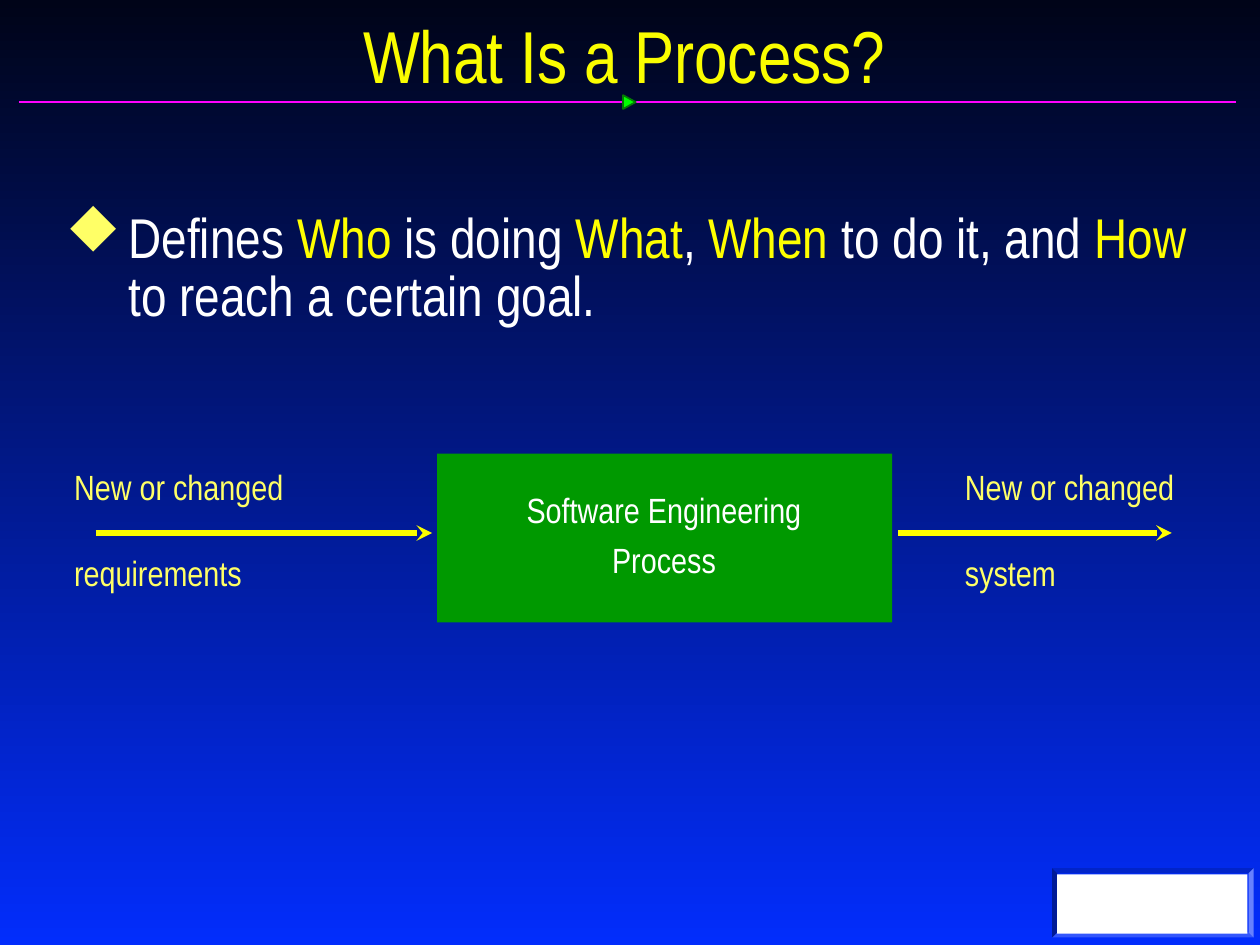
from lxml.etree import SubElement
from pptx import Presentation
from pptx.dml.color import RGBColor
from pptx.enum.shapes import MSO_CONNECTOR as Connector, MSO_SHAPE as Shape
from pptx.enum.text import MSO_ANCHOR as Anchor, PP_ALIGN as Align
from pptx.oxml.ns import qn
from pptx.util import Inches, Pt

WIDTH, HEIGHT = Inches(10), Inches(7.5)
COLUMNS, ROWS = 100, 75  # grid cells are square
FONT = "Arial Narrow"
BULLET_FONT, DIAMOND = "Wingdings", "u"  # the symbol font draws u as a diamond

NIGHT = RGBColor(0x00, 0x04, 0x18)
BLUE = RGBColor(0x02, 0x2D, 0xFC)
MAGENTA = RGBColor(0xFF, 0x01, 0xFF)
LIME = RGBColor(0x00, 0xFF, 0x00)
DARK_GREEN = RGBColor(0x03, 0x7C, 0x03)
GREEN = RGBColor(0x00, 0x99, 0x00)
WHITE = RGBColor(0xFF, 0xFF, 0xFF)
GOLD = RGBColor(0xFA, 0xFD, 0x00)
YELLOW = RGBColor(0xFF, 0xFF, 0x00)
PALE_YELLOW = RGBColor(0xFF, 0xFF, 0x66)


def place(*cells):
    """Turn alternating column and row counts into slide lengths."""
    units = (WIDTH / COLUMNS, HEIGHT / ROWS)
    return [round(cell * units[i % 2]) for i, cell in enumerate(cells)]


def add_background(page):
    fill = page.background.fill
    fill.gradient()
    fill.gradient_angle = 270
    for stop, color, position in zip(fill.gradient_stops, (NIGHT, BLUE), (0, 1)):
        stop.color.rgb = color
        stop.position = position


def add_block(page, kind, at, fill, line=None, rotation=0, adjust=None):
    block = page.shapes.add_shape(kind, *place(*at))
    block.shadow.inherit = False
    block.rotation = rotation
    if adjust is not None:
        block.adjustments[0] = adjust
    block.fill.solid()
    block.fill.fore_color.rgb = fill
    if line is None:
        block.line.fill.background()
    else:
        block.line.color.rgb = line
        block.line.width = Pt(1)


def add_line(page, start, end, row, color, width, head=None):
    line = page.shapes.add_connector(
        Connector.STRAIGHT, *place(start, row, end, row))
    line.line.color.rgb = color
    line.line.width = Pt(width)
    if head:
        SubElement(line.line._get_or_add_ln(), qn("a:tailEnd"), type=head)
    SubElement(line._element.spPr, qn("a:effectLst"))


def add_bullet(para, symbol, color, indent):
    props = para._p.get_or_add_pPr()
    props.set("marL", str(indent))
    props.set("indent", str(-indent))
    holder = SubElement(props, qn("a:buClr"))
    SubElement(holder, qn("a:srgbClr"), val=str(color))
    SubElement(props, qn("a:buFont"), typeface=BULLET_FONT,
               pitchFamily="2", charset="2")
    SubElement(props, qn("a:buChar"), char=symbol)


def add_text(page, at, paragraphs, *, size, color, align=Align.LEFT,
             anchor=Anchor.TOP, leading=None, gap=0, inset=0.1, wrap=False,
             bullet=None):
    """Each paragraph is a string or a list of (text, color) spans."""
    box = page.shapes.add_textbox(*place(*at))
    frame = box.text_frame
    frame.word_wrap = wrap
    frame.vertical_anchor = anchor
    frame.margin_left = frame.margin_right = Inches(inset)
    frame.margin_top = frame.margin_bottom = Inches(inset / 2)
    for i, content in enumerate(paragraphs):
        para = frame.add_paragraph() if i else frame.paragraphs[0]
        para.alignment = align
        if leading:
            para.line_spacing = leading
        if i:
            para.space_before = Pt(gap)
        if bullet:
            add_bullet(para, bullet, PALE_YELLOW, Inches(0.5))
        spans = [(content, color)] if isinstance(content, str) else content
        for text, span_color in spans:
            span = para.add_run()
            span.text = text
            span.font.name = FONT
            span.font.size = Pt(size)
            span.font.color.rgb = span_color


def main():
    deck = Presentation()
    deck.slide_width, deck.slide_height = WIDTH, HEIGHT
    page = deck.slides.add_slide(deck.slide_layouts[6])
    add_background(page)

    # Divider under the title, and the corner panel
    add_line(page, 1.5, 98.1, 8.1, MAGENTA, 1)
    add_block(page, Shape.ISOSCELES_TRIANGLE, (49.4, 7.6, 1.1, 1), LIME,
              line=DARK_GREEN, rotation=90)
    add_block(page, Shape.BEVEL, (83.5, 68.9, 16, 5.5), BLUE,
              rotation=180, adjust=0.075)
    add_block(page, Shape.RECTANGLE, (83.9, 69.4, 15.1, 4.7), WHITE)

    # Input and output labels, each split around its arrow
    for column, width, result in ((4.9, 18.6, "requirements"),
                                  (75.6, 19.3, "system")):
        add_text(page, (column, 37, width, 10.6), ["New or changed", result],
                 size=20, color=PALE_YELLOW, leading=Pt(20), gap=29)

    # Process box
    add_block(page, Shape.RECTANGLE, (34.7, 36, 36.1, 13.4), GREEN)
    add_text(page, (40.8, 38.8, 23.8, 7.8), ["Software Engineering", "Process"],
             size=20, color=WHITE, align=Align.CENTER, leading=Pt(20), gap=9)

    # Arrows into and out of the process
    add_line(page, 7.6, 34.3, 42.3, GOLD, 3, head="stealth")
    add_line(page, 71.3, 93, 42.3, YELLOW, 3, head="stealth")

    # Title and definition
    add_text(page, (1, 1.4, 97.1, 5.8), ["What Is a Process?"], size=42,
             color=GOLD, align=Align.CENTER, anchor=Anchor.MIDDLE, wrap=True)
    definition = [("Defines ", WHITE), ("Who ", YELLOW), ("is doing ", WHITE),
                  ("What", YELLOW), (", ", WHITE), ("When", YELLOW),
                  (" to do it, and ", WHITE), ("How", YELLOW),
                  (" to reach a certain goal.", WHITE)]
    add_text(page, (4, 16.2, 92.9, 46.8), [definition], size=32, color=WHITE,
             leading=0.87, inset=0.12, wrap=True, bullet=DIAMOND)

    deck.save("out.pptx")


if __name__ == "__main__":
    main()
